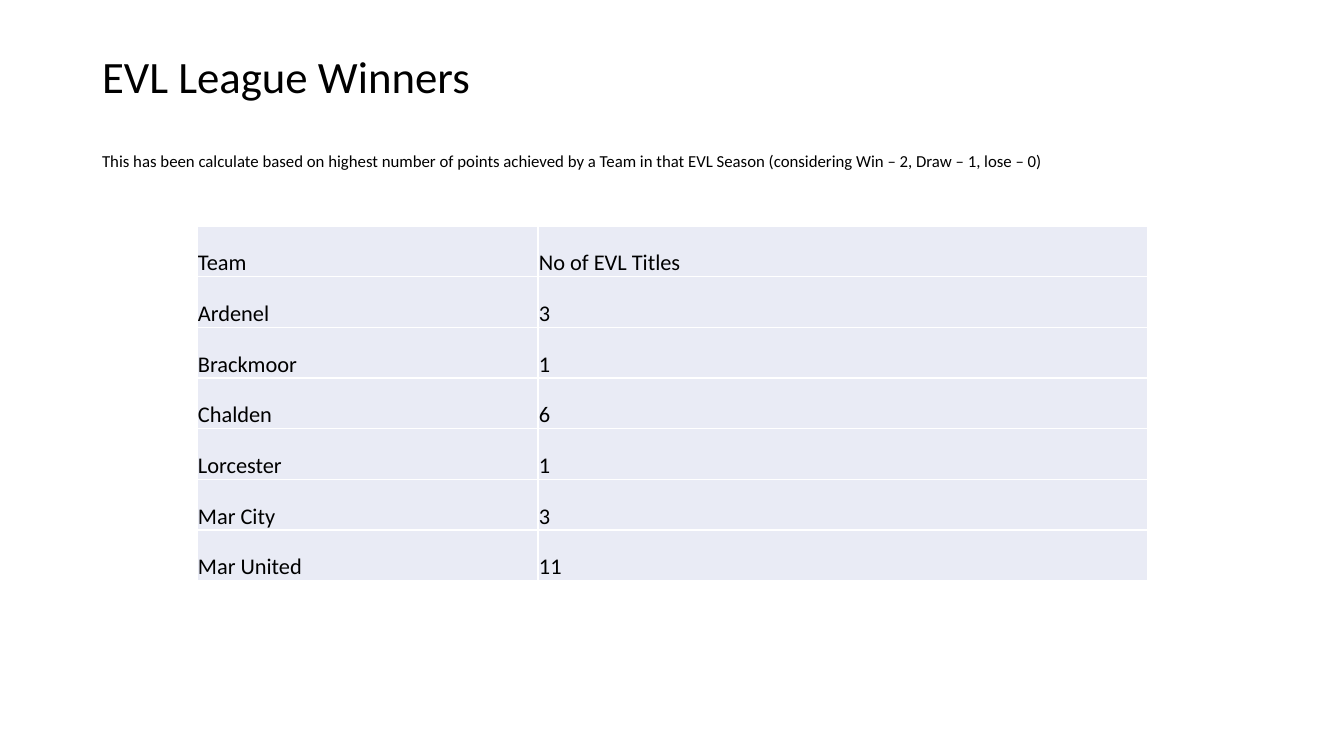
from lxml import etree
from pptx import Presentation
from pptx import util as u
from pptx.dml import color
from pptx.enum import text
from pptx.oxml import ns

COLORS = {"ink": "000000", "cell": "E9EBF5", "border": "FFFFFF"}
EMU_PER_PX = 12192000 / 1344

WINNERS = [
    ("Team", "No of EVL Titles"),
    ("Ardenel", "3"),
    ("Brackmoor", "1"),
    ("Chalden", "6"),
    ("Lorcester", "1"),
    ("Mar City", "3"),
    ("Mar United", "11"),
]


def px(length):
    return u.Emu(round(length * EMU_PER_PX))


class Deck:
    font = "Calibri"

    def __init__(self):
        self.prs = Presentation()
        self.prs.slide_width, self.prs.slide_height = px(1344), px(756)
        self.slide = self.prs.slides.add_slide(self.prs.slide_layouts[5])

    def run(self, paragraph, wording, size):
        run = paragraph.add_run()
        run.text = wording
        run.font.name, run.font.size = self.font, u.Pt(size)
        run.font.bold = False
        run.font.color.rgb = color.RGBColor.from_string(COLORS["ink"])

    def title(self, left, top, width, height, lines, gap):
        heading = self.slide.shapes.title
        heading.left, heading.top = px(left), px(top)
        heading.width, heading.height = px(width), px(height)
        frame = heading.text_frame
        frame.word_wrap = True
        frame.auto_size = text.MSO_AUTO_SIZE.NONE
        frame.vertical_anchor = text.MSO_ANCHOR.MIDDLE
        for index, (wording, size) in enumerate(lines):
            paragraph = frame.add_paragraph() if index else frame.paragraphs[0]
            paragraph.alignment = text.PP_ALIGN.LEFT
            paragraph.line_spacing = 0.9
            paragraph.space_before = u.Pt(gap if index else 0)
            self.run(paragraph, wording, size)

    def borders(self, cell):
        properties = cell._tc.get_or_add_tcPr()
        for side in ("a:lnL", "a:lnR", "a:lnT", "a:lnB"):
            line = etree.SubElement(properties, ns.qn(side), w=str(u.Pt(1)))
            fill = etree.SubElement(line, ns.qn("a:solidFill"))
            etree.SubElement(fill, ns.qn("a:srgbClr"), val=COLORS["border"])

    def table(self, left, top, height, widths, rows, size):
        frame = self.slide.shapes.add_table(
            len(rows), len(widths), px(left), px(top), px(sum(widths)), px(height))
        grid = frame.table
        grid.first_row = grid.horz_banding = False
        for column, width in zip(grid.columns, widths):
            column.width = px(width)
        for r, row in enumerate(rows):
            for c, wording in enumerate(row):
                cell = grid.cell(r, c)
                cell.margin_left = cell.margin_right = cell.margin_top = px(1)
                cell.margin_bottom = 0
                cell.vertical_anchor = text.MSO_ANCHOR.BOTTOM
                self.borders(cell)
                cell.fill.solid()
                cell.fill.fore_color.rgb = color.RGBColor.from_string(COLORS["cell"])
                self.run(cell.text_frame.paragraphs[0], wording, size)


def main():
    deck = Deck()
    deck.title(92, 40, 1159, 146, [
        ("EVL League Winners", 32),
        ("This has been calculate based on highest number of points achieved by a Team "
         "in that EVL Season (considering Win – 2, Draw – 1, lose – 0)", 12),
    ], gap=35)
    deck.table(197, 226, 355, (341, 610), WINNERS, 16)
    deck.prs.save("out.pptx")


if __name__ == "__main__":
    main()
